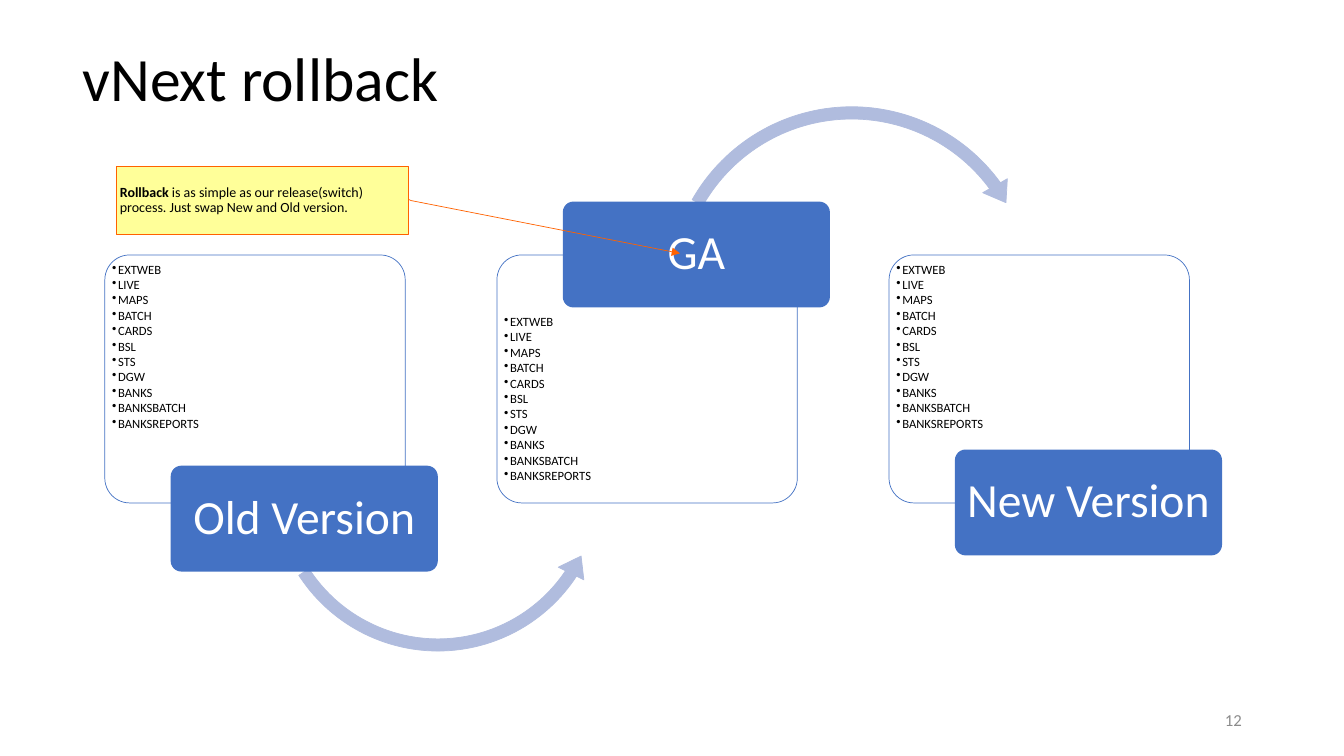
"""Build the vNext rollback slide: three version panels with switch arrows."""
import pptx
import pptx.util
import pptx.dml.color
import pptx.enum.shapes
import pptx.enum.text
import pptx.oxml.ns
from lxml import etree

WIDTH, HEIGHT = pptx.util.Inches(13.33), pptx.util.Inches(7.5)
COLUMN, ROW = WIDTH / 40, HEIGHT / 30
COLORS = {
    "black": "000000", "white": "FFFFFF", "blue": "4472C4", "arrow": "B0BCDE",
    "note": "FFFF99", "orange": "FF6200", "gray": "8C8C8C",
}
SHAPES = pptx.enum.shapes.MSO_SHAPE
ALIGN = pptx.enum.text.PP_ALIGN
ANCHOR = pptx.enum.text.MSO_ANCHOR
SERVICES = ["EXTWEB", "LIVE", "MAPS", "BATCH", "CARDS", "BSL", "STS", "DGW",
            "BANKS", "BANKSBATCH", "BANKSREPORTS"]
PANEL_LEFT, PANEL_TOP, PANEL_STEP = 3.12, 10.12, 11.67
PANEL_SIZE, LABEL_SIZE, LABEL_SHIFT = (8.94, 9.84), (7.95, 4.2), 1.96


def color(name):
    """Return the named colour."""
    return pptx.dml.color.RGBColor.from_string(COLORS[name])


def grid(left, top, width, height):
    """Turn grid columns and rows into slide lengths."""
    return [round(length) for length in
            (left * COLUMN, top * ROW, width * COLUMN, height * ROW)]


def add_child(parent, tag, **attributes):
    """Append a drawing element to a parent element."""
    return etree.SubElement(parent, pptx.oxml.ns.qn(tag), attributes)


def set_margins(frame, left, top):
    """Set matching side margins in inches and a top margin."""
    frame.margin_left = frame.margin_right = pptx.util.Inches(left)
    frame.margin_top = pptx.util.Inches(top)
    frame.margin_bottom = 0


def format_paragraph(paragraph, size, color_name, align=ALIGN.LEFT):
    """Format a paragraph and its runs."""
    paragraph.alignment = align
    paragraph.line_spacing = 0.9
    for run in paragraph.runs:
        run.font.name = "Calibri"
        run.font.size = pptx.util.Pt(size)
        run.font.color.rgb = color(color_name)


def add_text(slide, place, text, size, color_name, align=ALIGN.LEFT):
    """Add a vertically centred text box."""
    frame = slide.shapes.add_textbox(*grid(*place)).text_frame
    frame.word_wrap = True
    frame.vertical_anchor = ANCHOR.MIDDLE
    frame.text = text
    format_paragraph(frame.paragraphs[0], size, color_name, align)


def add_shape(slide, kind, place, adjustments, fill, line=None):
    """Add a flat preset shape with its fill and outline."""
    shape = slide.shapes.add_shape(kind, *grid(*place))
    shape.shadow.inherit = False
    for index, value in enumerate(adjustments):
        shape.adjustments[index] = value
    shape.fill.solid()
    shape.fill.fore_color.rgb = color(fill)
    if line:
        shape.line.color.rgb = color(line)
        shape.line.width = pptx.util.Pt(0.5)
    else:
        shape.line.fill.background()
    return shape


def add_panel(slide, left, text_top):
    """Add a rounded panel that lists the services as bullets."""
    panel = add_shape(slide, SHAPES.ROUNDED_RECTANGLE,
                      (left, PANEL_TOP, *PANEL_SIZE), [0.1], "white", "blue")
    fill_color = panel._element.spPr.find(".//" + pptx.oxml.ns.qn("a:srgbClr"))
    add_child(fill_color, "a:alpha", val="90000")
    frame = panel.text_frame
    frame.vertical_anchor = ANCHOR.TOP
    set_margins(frame, 0, text_top)
    frame.text = "\n".join(SERVICES)
    indent = pptx.util.Inches(0.06)
    for paragraph in frame.paragraphs:
        properties = paragraph._p.get_or_add_pPr()
        properties.set("marL", str(indent))
        properties.set("indent", str(-indent))
        add_child(properties, "a:buChar", char="•")
        format_paragraph(paragraph, 9, "black")
        paragraph.space_after = pptx.util.Pt(1.25)


def add_label(slide, left, top, text):
    """Add a blue version label."""
    label = add_shape(slide, SHAPES.ROUNDED_RECTANGLE,
                      (left, top, *LABEL_SIZE), [0.1], "blue")
    frame = label.text_frame
    frame.vertical_anchor = ANCHOR.MIDDLE
    set_margins(frame, 0.04, 0)
    frame.text = text
    format_paragraph(frame.paragraphs[0], 34, "white", ALIGN.CENTER)


def add_note(slide):
    """Add the rollback callout with an arrow to the GA label."""
    note = add_shape(slide, SHAPES.LINE_CALLOUT_2, (3.45, 6.6, 8.7, 2.72),
                     [0.48, 1, 0.5, 1.01, 1.27, 1.93], "note", "orange")
    add_child(note.line._get_or_add_ln(), "a:tailEnd", type="triangle")
    frame = note.text_frame
    frame.word_wrap = True
    frame.vertical_anchor = ANCHOR.MIDDLE
    set_margins(frame, 0.04, 0)
    paragraph = frame.paragraphs[0]
    for text, bold in (
        ("Rollback", True),
        (" is as simple as our release(switch) process. "
         "Just swap New and Old version.", False),
    ):
        run = paragraph.add_run()
        run.text = text
        run.font.bold = bold
    format_paragraph(paragraph, 10, "black")


def main():
    """Build and save the slide."""
    presentation = pptx.Presentation()
    presentation.slide_width, presentation.slide_height = WIDTH, HEIGHT
    slide = presentation.slides.add_slide(presentation.slide_layouts[6])
    add_text(slide, (2.16, 1.44, 35.67, 3.56), "vNext rollback", 44, "black")
    add_text(slide, (28.26, 27.8, 9, 1.6), "12", 12, "gray", ALIGN.RIGHT)

    switch_up = (SHAPES.LEFT_CIRCULAR_ARROW, (7.86, 12.36, 10.35, 13.8),
                 [0.035, 4.345, 20.113, 88.258, 0.041])
    switch_over = (SHAPES.CIRCULAR_ARROW, (19.65, 3.92, 11.4, 15.2),
                   [0.032, 3.911, 194.334, 125.755, 0.037])
    versions = [
        ("Old Version", 18.48, 0.01, switch_up),
        ("GA", 8, 0.53, switch_over),
        ("New Version", 17.84, 0.01, None),
    ]
    for index, (name, label_top, text_top, arrow) in enumerate(versions):
        left = PANEL_LEFT + index * PANEL_STEP
        add_panel(slide, left, text_top)
        if arrow:
            add_shape(slide, *arrow, "arrow", "arrow")
        add_label(slide, left + LABEL_SHIFT, label_top, name)
    add_note(slide)
    presentation.save("out.pptx")


if __name__ == "__main__":
    main()
